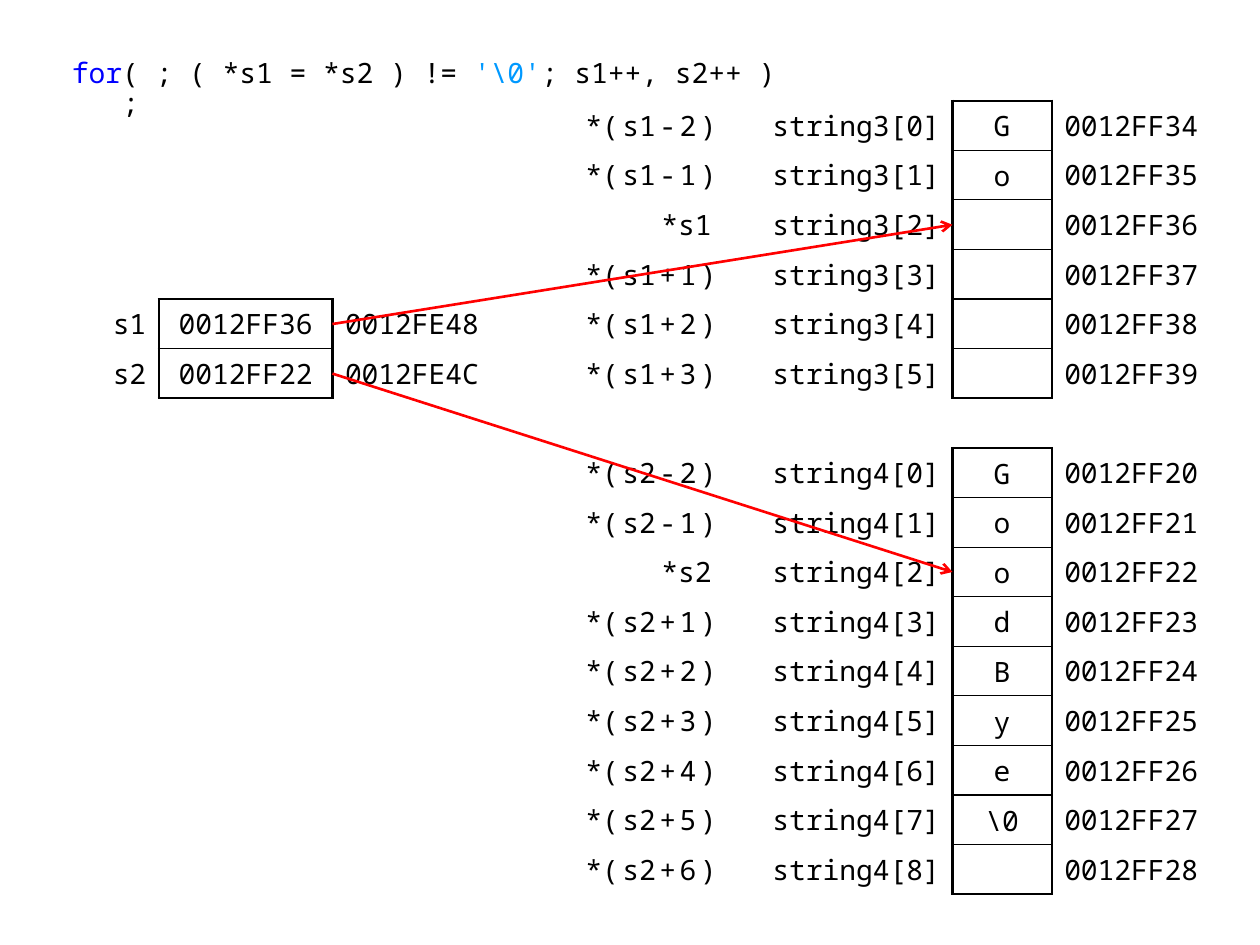
from dataclasses import dataclass

from pptx import Presentation
from pptx.dml.color import RGBColor
from pptx.enum.shapes import MSO_CONNECTOR
from pptx.enum.text import MSO_ANCHOR, PP_ALIGN
from pptx.oxml.xmlchemy import OxmlElement
from pptx.util import Inches, Pt


@dataclass(frozen=True)
class Theme:
    """Colours, type and line widths of the slide."""
    font: str = "Noto Sans Mono"
    size: int = 16
    black: str = "000000"
    white: str = "FFFFFF"
    keyword: str = "0000FF"
    literal: str = "0099FF"
    arrow: str = "FF0000"
    thick: float = 1.5
    thin: float = 0.75


THEME = Theme()
UNIT = 1 / 2.54
NO_GRID_STYLE = "{2D5ABB26-0587-4C30-8999-92F81FD0307C}"
STRING_WIDTHS = (3.5, 4.5, 2, 3.5)
POINTER_WIDTHS = (1.5, 3.5, 3.5)
STRING_LEFT = 9.5
MEMORY_LEFT = STRING_LEFT + sum(STRING_WIDTHS[:2])
POINTER_RIGHT = sum(POINTER_WIDTHS[:2])
STRING3_TOP, POINTER_TOP, STRING4_TOP = 0, 4, 7


def grid_x(column):
    """Return the horizontal position of a grid column."""
    return Inches(0.67 + column * UNIT)


def grid_y(row):
    """Return the vertical position of a grid row."""
    return Inches(0.8 + row * UNIT)


def add_run(paragraph, text, color=THEME.black, spacing=0):
    """Add one run in the code font."""
    run = paragraph.add_run()
    run.text = text
    run.font.name = THEME.font
    run.font.size = Pt(THEME.size)
    run.font.color.rgb = RGBColor.from_string(color)
    if spacing:
        run.font._element.set("spc", str(spacing * 100))


def set_margins(box, left=0.1, right=0.1):
    """Set the insets of a cell or text frame."""
    box.margin_left, box.margin_right = Inches(left), Inches(right)
    box.margin_top = box.margin_bottom = Inches(0.04)
    box.vertical_anchor = MSO_ANCHOR.MIDDLE


def fill_cell(cell, runs, align=PP_ALIGN.LEFT, left=0.1, right=0.1, fill=None):
    """Write runs of text and letter spacing into a cell."""
    set_margins(cell, left, right)
    if fill:
        cell.fill.solid()
        cell.fill.fore_color.rgb = RGBColor.from_string(fill)
    else:
        cell.fill.background()
    paragraph = cell.text_frame.paragraphs[0]
    paragraph.alignment = align
    for text, spacing in runs:
        add_run(paragraph, text, spacing=spacing)


def set_borders(cell, **widths):
    """Draw black borders on the named sides of a cell."""
    properties = cell._tc.get_or_add_tcPr()
    sides = [side for side in "LRTB" if side in widths]
    for index, side in enumerate(sides):
        line = OxmlElement(f"a:ln{side}")
        line.set("w", str(Pt(widths[side])))
        solid = OxmlElement("a:solidFill")
        color = OxmlElement("a:srgbClr")
        color.set("val", THEME.black)
        solid.append(color)
        line.append(solid)
        properties.insert(index, line)


def add_grid_table(slide, column, row, widths, row_count):
    """Add a plain table of unit-high rows on the grid."""
    frame = slide.shapes.add_table(
        row_count, len(widths), grid_x(column), grid_y(row),
        Inches(sum(widths) * UNIT), Inches(row_count * UNIT))
    table = frame.table
    table.first_row = table.horz_banding = False
    table._tbl.tblPr[0].text = NO_GRID_STYLE
    for table_column, width in zip(table.columns, widths):
        table_column.width = Inches(width * UNIT)
    for table_row in table.rows:
        table_row.height = Inches(UNIT)
    return table


def frame_column(table, column):
    """Frame one column with thick outer and thin inner lines."""
    last = len(table.rows) - 1
    for row in range(last + 1):
        set_borders(table.cell(row, column), L=THEME.thick, R=THEME.thick,
                    T=THEME.thin if row else THEME.thick,
                    B=THEME.thin if row < last else THEME.thick)
        set_borders(table.cell(row, column - 1), R=THEME.thick)
        set_borders(table.cell(row, column + 1), L=THEME.thick)


def add_string_table(slide, number, row, count, pointer, address):
    """Add the memory table of one string."""
    table = add_grid_table(slide, STRING_LEFT, row, STRING_WIDTHS, count)
    for index in range(count):
        offset = index - 2
        if offset:
            runs = [("*", 0), ("(", 2), ("s", 0), (f"{pointer}{offset:+d}", 2), (")", 0)]
        else:
            runs = [(f"*s{pointer}", 0)]
        fill_cell(table.cell(index, 0), runs, PP_ALIGN.RIGHT, right=0.1 if offset else 0.14)
        fill_cell(table.cell(index, 1), [(f"string{number}[{index}]", 0)], PP_ALIGN.RIGHT)
        fill_cell(table.cell(index, 2), [])
        fill_cell(table.cell(index, 3), [(f"{address + index:08X}", 0)],
                  right=0.08, fill=THEME.white)
    frame_column(table, 2)


def add_pointer_table(slide, pointers):
    """Add the table of pointer names, values and addresses."""
    table = add_grid_table(slide, 0, POINTER_TOP, POINTER_WIDTHS, len(pointers))
    for row, (name, value, address) in enumerate(pointers):
        fill_cell(table.cell(row, 0), [(name, 0)], PP_ALIGN.RIGHT)
        fill_cell(table.cell(row, 1), [(value, 0)], PP_ALIGN.CENTER, 0.08, 0.08, THEME.white)
        fill_cell(table.cell(row, 2), [(address, 0)], right=0.08, fill=THEME.white)
    frame_column(table, 1)


def add_arrow(slide, from_row, to_row):
    """Point from a pointer row to a memory row."""
    arrow = slide.shapes.add_connector(
        MSO_CONNECTOR.STRAIGHT, grid_x(POINTER_RIGHT), grid_y(from_row + 0.5),
        grid_x(MEMORY_LEFT), grid_y(to_row + 0.5))
    arrow.line.color.rgb = RGBColor.from_string(THEME.arrow)
    arrow.line.width = Pt(THEME.thick)
    head = OxmlElement("a:tailEnd")
    head.set("type", "arrow")
    arrow.line._get_or_add_ln().append(head)
    arrow._element.spPr.append(OxmlElement("a:effectLst"))


def add_characters(slide, row, characters):
    """Place one character in each memory cell from a row down."""
    for index, character in enumerate(characters):
        box = slide.shapes.add_textbox(grid_x(MEMORY_LEFT), grid_y(row + index),
                                       Inches(STRING_WIDTHS[2] * UNIT), Inches(UNIT))
        box.text_frame.word_wrap = True
        set_margins(box.text_frame)
        paragraph = box.text_frame.paragraphs[0]
        paragraph.alignment = PP_ALIGN.CENTER
        add_run(paragraph, character)


def add_code(slide, lines):
    """Write lines of code into the body placeholder."""
    body = slide.placeholders[1]
    body.left, body.top, body.width, body.height = map(Inches, (0.47, 0.4, 5.91, 0.59))
    frame = body.text_frame
    frame.word_wrap = True
    frame.margin_top = Inches(0.08)
    for index, runs in enumerate(lines):
        paragraph = frame.add_paragraph() if index else frame.paragraphs[0]
        properties = paragraph._p.get_or_add_pPr()
        properties.set("marL", "0")
        properties.set("indent", "0")
        properties.append(OxmlElement("a:buNone"))
        paragraph.line_spacing = 0.87
        paragraph.space_before = Pt(0)
        for text, color in runs:
            add_run(paragraph, text, color)


def main():
    """Build the slide and save it."""
    presentation = Presentation()
    presentation.slide_width, presentation.slide_height = Inches(10), Inches(7.5)
    slide = presentation.slides.add_slide(presentation.slide_layouts[1])
    title = slide.shapes.title._element
    title.getparent().remove(title)
    add_code(slide, [
        [("for", THEME.keyword), ("( ; ( *s1 = *s2 ) != ", THEME.black),
         (r"'\0'", THEME.literal), ("; s1++, s2++ )", THEME.black)],
        [("   ;", THEME.black)]])
    add_string_table(slide, 3, STRING3_TOP, 6, 1, 0x0012FF34)
    add_string_table(slide, 4, STRING4_TOP, 9, 2, 0x0012FF20)
    add_pointer_table(slide, [("s1", "0012FF36", "0012FE48"), ("s2", "0012FF22", "0012FE4C")])
    add_arrow(slide, POINTER_TOP, STRING3_TOP + 2)
    add_arrow(slide, POINTER_TOP + 1, STRING4_TOP + 2)
    add_characters(slide, STRING4_TOP, [*"GoodBye", r"\0"])
    add_characters(slide, STRING3_TOP, "Go")
    presentation.save("out.pptx")


if __name__ == "__main__":
    main()
